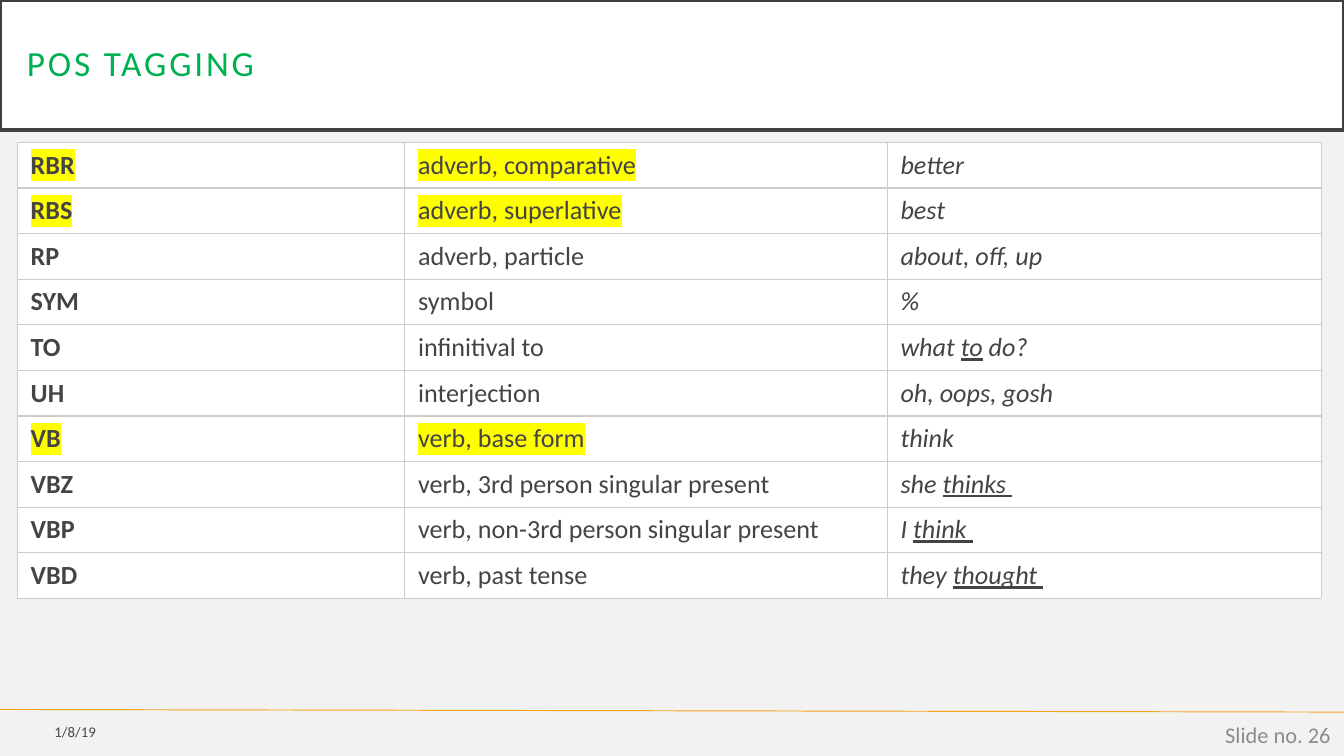
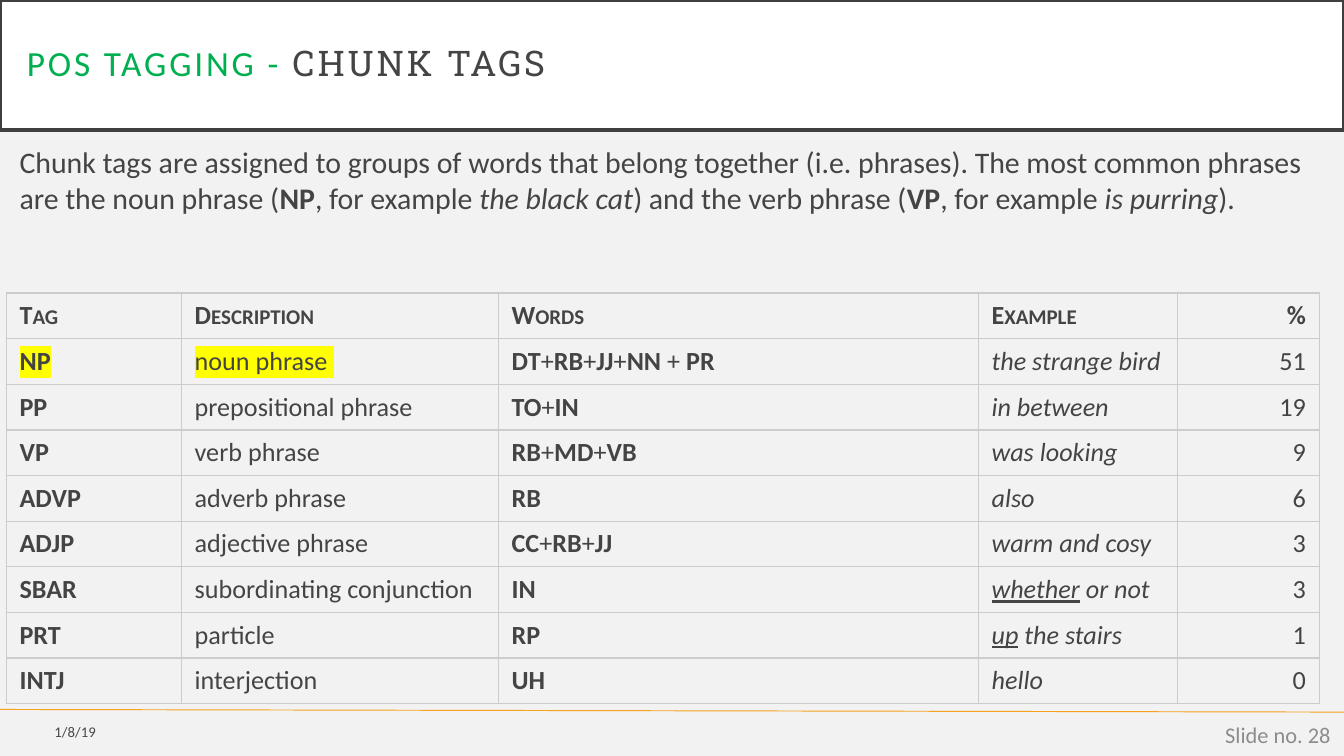
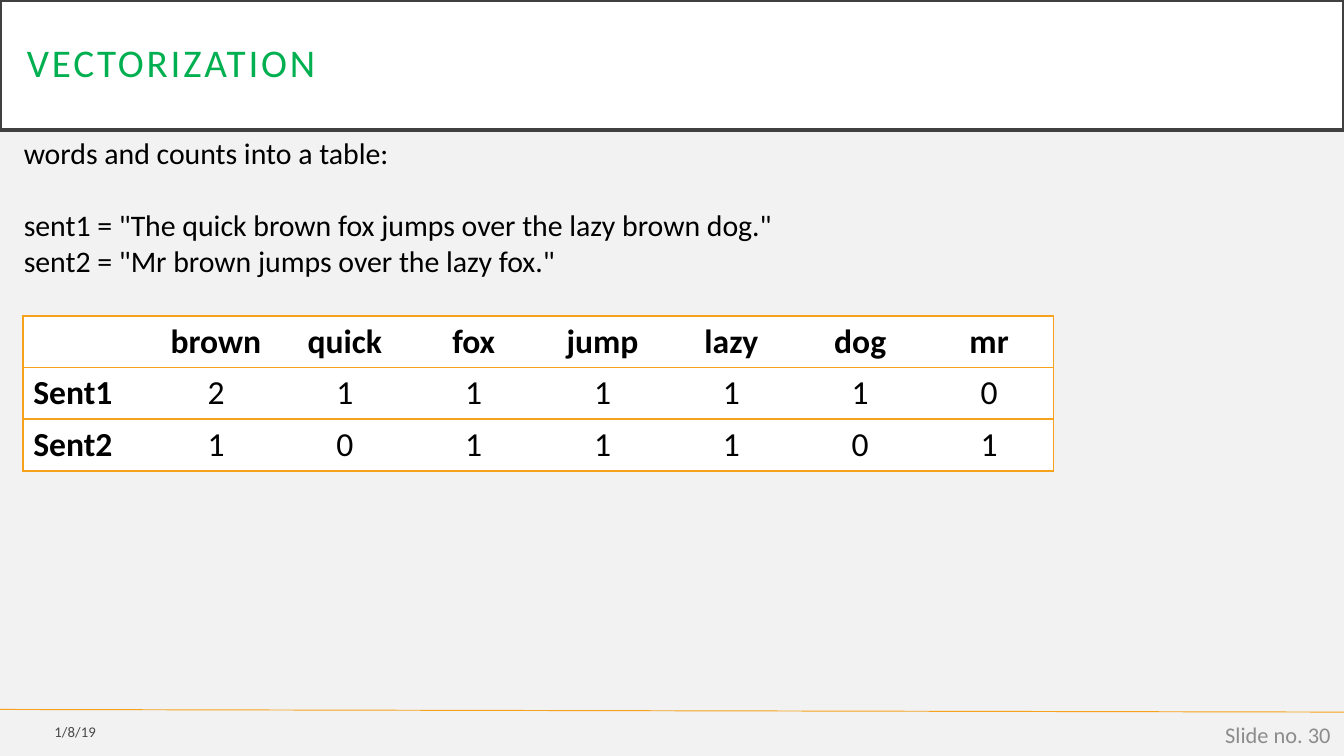
import dataclasses
import typing

import lxml.etree
import pptx
import pptx.dml.color
import pptx.enum.shapes
import pptx.enum.text
import pptx.oxml.ns
import pptx.slide
import pptx.table
import pptx.util

WHITE = pptx.dml.color.RGBColor(0xFF, 0xFF, 0xFF)
BLACK = pptx.dml.color.RGBColor(0x00, 0x00, 0x00)
BACKGROUND = pptx.dml.color.RGBColor(0xF2, 0xF2, 0xF2)
GREEN = pptx.dml.color.RGBColor(0x00, 0xB0, 0x50)
ORANGE = pptx.dml.color.RGBColor(0xF6, 0xA2, 0x1D)
YELLOW = pptx.dml.color.RGBColor(0xFF, 0xFF, 0x00)
OUTLINE = pptx.dml.color.RGBColor(0x40, 0x40, 0x40)
TEXT = pptx.dml.color.RGBColor(0x44, 0x44, 0x44)
GRID = pptx.dml.color.RGBColor(0xCC, 0xCC, 0xCC)
FOOTER = pptx.dml.color.RGBColor(0x8C, 0x8C, 0x8C)

BODY_FONT = "Calibri"
SLAB_FONT = "Roboto Slab"
MARKS = {"*": "bold", "^": "italic", "_": "underline", "#": "highlight", "&": "small_caps"}

LEFT = pptx.enum.text.PP_ALIGN.LEFT
CENTER = pptx.enum.text.PP_ALIGN.CENTER
RIGHT = pptx.enum.text.PP_ALIGN.RIGHT
TOP = pptx.enum.text.MSO_ANCHOR.TOP
MIDDLE = pptx.enum.text.MSO_ANCHOR.MIDDLE


class Box(typing.NamedTuple):
    left: float
    top: float
    width: float
    height: float

    def lengths(self) -> list[pptx.util.Length]:
        return [pptx.util.Cm(value) for value in self]


@dataclasses.dataclass
class TitlePart:
    text: str
    size: float = 18.9
    color: pptx.dml.color.RGBColor = GREEN
    font: str = BODY_FONT


@dataclasses.dataclass
class TableStyle:
    size: float
    color: pptx.dml.color.RGBColor
    border: pptx.dml.color.RGBColor
    border_width: float
    anchor: pptx.enum.text.MSO_ANCHOR
    margin_x: float
    margin_y: float
    inner_columns: bool


@dataclasses.dataclass
class TableSpec:
    left: float
    top: float
    row_height: float
    widths: tuple[float, ...]
    alignments: tuple[pptx.enum.text.PP_ALIGN, ...]
    rows: list[tuple[str, ...]]
    style: TableStyle
    fill: pptx.dml.color.RGBColor | None = None


TAG_STYLE = TableStyle(14, TEXT, GRID, 0.75, TOP, 0.25, 0.13, True)
COUNT_STYLE = TableStyle(18, BLACK, ORANGE, 1, MIDDLE, 0.2, 0.1, False)

POS_TAGS = TableSpec(
    left=0.33, top=2.69, row_height=0.85, widths=(7.32, 9.12, 8.2),
    alignments=(LEFT,) * 3, style=TAG_STYLE, fill=WHITE,
    rows=[
        ("*#RBR", "#adverb, comparative", "^better"),
        ("*#RBS", "#adverb, superlative", "^best"),
        ("*RP", "adverb, particle", "^about, off, up"),
        ("*SYM", "symbol", "^%"),
        ("*TO", "infinitival to", "^what _to_ do?"),
        ("*UH", "interjection", "^oh, oops, gosh"),
        ("*#VB", "#verb, base form", "^think"),
        ("*VBZ", "verb, 3rd person singular present", "^she _thinks "),
        ("*VBP", "verb, non-3rd person singular present", "^I _think "),
        ("*VBD", "verb, past tense", "^they _thought "),
    ],
)
CHUNK_TAGS = TableSpec(
    left=0.12, top=5.54, row_height=0.85, widths=(3.31, 5.99, 9.07, 3.77, 2.67),
    alignments=(LEFT,) * 4 + (RIGHT,), style=TAG_STYLE,
    rows=[
        ("*&Tag", "*&Description", "*&Words", "*&Example", "*%"),
        ("*#NP", "#noun phrase ", "*DT*+*RB*+*JJ*+*NN* + *PR", "^the strange bird", "51"),
        ("*PP", "prepositional phrase", "*TO*+*IN", "^in between", "19"),
        ("*VP", "verb phrase", "*RB*+*MD*+*VB", "^was looking", "9"),
        ("*ADVP", "adverb phrase", "*RB", "^also", "6"),
        ("*ADJP", "adjective phrase", "*CC*+*RB*+*JJ", "^warm and cosy", "3"),
        ("*SBAR", "subordinating conjunction", "*IN", "^_whether_ or not", "3"),
        ("*PRT", "particle", "*RP", "^_up_ the stairs", "1"),
        ("*INTJ", "interjection", "*UH", "^hello", "0"),
    ],
)
WORD_COUNTS = TableSpec(
    left=0.43, top=5.97, row_height=0.79, widths=(19.48 / 8,) * 8,
    alignments=(LEFT,) + (CENTER,) * 7, style=COUNT_STYLE, fill=WHITE,
    rows=[
        ("", "*brown", "*quick", "*fox", "*jump", "*lazy", "*dog", "*mr"),
        ("*Sent1", "2", "1", "1", "1", "1", "1", "0"),
        ("*Sent2", "1", "0", "1", "1", "1", "0", "1"),
    ],
)


def add_xml(parent: lxml.etree._Element, tag: str, **attributes: str) -> lxml.etree._Element:
    return lxml.etree.SubElement(parent, pptx.oxml.ns.qn(tag), attributes)


def split_marks(text: str) -> typing.Iterator[tuple[str, set[str]]]:
    active: set[str] = set()
    piece = ""
    for character in text:
        if character in MARKS:
            if piece:
                yield piece, set(active)
            piece = ""
            active ^= {MARKS[character]}
        else:
            piece += character
    if piece:
        yield piece, active


def add_text(
    paragraph, text: str, *, size: float, color: pptx.dml.color.RGBColor,
    font: str = BODY_FONT, alignment: pptx.enum.text.PP_ALIGN = LEFT,
    spacing: float = 0, opacity: int = 100,
) -> None:
    paragraph.alignment = alignment
    for piece, marks in split_marks(text):
        run = paragraph.add_run()
        run.text = piece
        run.font.name = font
        run.font.size = pptx.util.Pt(size)
        run.font.color.rgb = color
        run.font.bold = "bold" in marks
        run.font.italic = "italic" in marks
        run.font.underline = "underline" in marks
        properties = run._r.get_or_add_rPr()
        fill = properties.find(pptx.oxml.ns.qn("a:solidFill"))
        if opacity < 100:
            add_xml(fill[0], "a:alpha", val=str(opacity * 1000))
        if spacing:
            properties.set("spc", str(int(spacing * 100)))
        if "small_caps" in marks:
            properties.set("cap", "small")
        if "highlight" in marks:
            highlight = add_xml(properties, "a:highlight")
            add_xml(highlight, "a:srgbClr", val=str(YELLOW))
            fill.addnext(highlight)


def add_text_box(slide: pptx.slide.Slide, box: Box, lines: list[str],
                 anchor: pptx.enum.text.MSO_ANCHOR = MIDDLE, **text_format):
    frame = slide.shapes.add_textbox(*box.lengths()).text_frame
    frame.word_wrap = True
    frame.vertical_anchor = anchor
    for index, line in enumerate(lines):
        paragraph = frame.add_paragraph() if index else frame.paragraphs[0]
        add_text(paragraph, line, **text_format)
    return frame


def add_title(slide: pptx.slide.Slide, parts: list[TitlePart]) -> None:
    band = slide.shapes.add_shape(
        pptx.enum.shapes.MSO_SHAPE.RECTANGLE, *Box(0, 0, 25.4, 2.46).lengths())
    band.shadow.inherit = False
    band.fill.solid()
    band.fill.fore_color.rgb = WHITE
    band.line.color.rgb = OUTLINE
    band.line.width = pptx.util.Pt(2.5)
    frame = band.text_frame
    frame.word_wrap = True
    frame.vertical_anchor = MIDDLE
    frame.margin_left = frame.margin_right = pptx.util.Cm(0.51)
    frame.margin_top = frame.margin_bottom = pptx.util.Cm(0.51)
    paragraph = frame.paragraphs[0]
    paragraph.line_spacing = 0.9
    for part in parts:
        add_text(paragraph, part.text, size=part.size, color=part.color,
                 font=part.font, spacing=1.5)


def add_footer(slide: pptx.slide.Slide, number: int) -> None:
    add_text_box(slide, Box(0, 13.49, 2.06, 0.69), ["1/8/19"],
                 size=7.9, color=BLACK, opacity=70, alignment=RIGHT)
    add_text_box(slide, Box(19.69, 13.51, 5.71, 0.76), [f"Slide no. {number}"],
                 size=12, color=FOOTER, alignment=RIGHT)


def add_footer_rule(slide: pptx.slide.Slide) -> None:
    rule = slide.shapes.add_connector(
        pptx.enum.shapes.MSO_CONNECTOR.STRAIGHT,
        pptx.util.Cm(0), pptx.util.Cm(13.41), pptx.util.Cm(25.4), pptx.util.Cm(13.46))
    rule.line.color.rgb = ORANGE
    rule.line.width = pptx.util.Pt(0.5)
    add_xml(rule._element.spPr, "a:effectLst")


def set_borders(cell: pptx.table._Cell, style: TableStyle, visible: set[str]) -> None:
    properties = cell._tc.get_or_add_tcPr()
    for side in "LRTB":
        width = str(pptx.util.Pt(style.border_width))
        line = add_xml(properties, f"a:ln{side}", w=width)
        if side in visible:
            add_xml(add_xml(line, "a:solidFill"), "a:srgbClr", val=str(style.border))
        else:
            add_xml(line, "a:noFill")


def add_table(slide: pptx.slide.Slide, spec: TableSpec) -> None:
    style = spec.style
    last_column = len(spec.widths) - 1
    box = Box(spec.left, spec.top, sum(spec.widths), spec.row_height * len(spec.rows))
    table = slide.shapes.add_table(
        len(spec.rows), len(spec.widths), *box.lengths()).table
    table.first_row = False
    table.horz_banding = False
    for column, width in zip(table.columns, spec.widths):
        column.width = pptx.util.Cm(width)
    for row_index, values in enumerate(spec.rows):
        table.rows[row_index].height = pptx.util.Cm(spec.row_height)
        for column_index, value in enumerate(values):
            cell = table.cell(row_index, column_index)
            visible = {"T", "B"}
            if style.inner_columns or column_index == 0:
                visible.add("L")
            if style.inner_columns or column_index == last_column:
                visible.add("R")
            set_borders(cell, style, visible)
            if spec.fill is None:
                cell.fill.background()
            else:
                cell.fill.solid()
                cell.fill.fore_color.rgb = spec.fill
            cell.vertical_anchor = style.anchor
            cell.margin_left = cell.margin_right = pptx.util.Cm(style.margin_x)
            cell.margin_top = cell.margin_bottom = pptx.util.Cm(style.margin_y)
            add_text(cell.text_frame.paragraphs[0], value, size=style.size,
                     color=style.color, alignment=spec.alignments[column_index])


def add_slide(presentation, number: int, title: list[TitlePart],
              table: TableSpec) -> pptx.slide.Slide:
    slide = presentation.slides.add_slide(presentation.slide_layouts[6])
    slide.background.fill.solid()
    slide.background.fill.fore_color.rgb = BACKGROUND
    add_footer_rule(slide)
    add_title(slide, title)
    add_table(slide, table)
    add_footer(slide, number)
    return slide


def main() -> None:
    presentation = pptx.Presentation()
    presentation.slide_width = pptx.util.Cm(25.4)
    presentation.slide_height = pptx.util.Cm(14.29)

    add_slide(presentation, 26, [TitlePart("POS TAGGING")], POS_TAGS)

    chunk_title = [TitlePart("POS TAGGING - "),
                   TitlePart("CHUNK TAGS", color=TEXT, font=SLAB_FONT)]
    chunk_slide = add_slide(presentation, 28, chunk_title, CHUNK_TAGS)
    add_text_box(
        chunk_slide, Box(0.12, 2.59, 24.82, 2.31),
        ["Chunk tags are assigned to groups of words that belong together "
         "(i.e. phrases). The most common phrases are the noun phrase (*NP*, "
         "for example ^the black cat^) and the verb phrase (*VP*, "
         "for example ^is purring^)."],
        anchor=TOP, size=16, color=TEXT)

    vector_slide = add_slide(
        presentation, 30, [TitlePart("VECTORIZATION", size=21)], WORD_COUNTS)
    sentences = add_text_box(
        vector_slide, Box(0.2, 2.41, 19.48, 3),
        ["words and counts into a table:",
         'sent1 = "The quick brown fox jumps over the lazy brown dog."',
         'sent2 = "Mr brown jumps over the lazy fox."'],
        size=16, color=BLACK)
    sentences.paragraphs[1].space_before = pptx.util.Pt(19.5)

    presentation.save("out.pptx")


if __name__ == "__main__":
    main()
